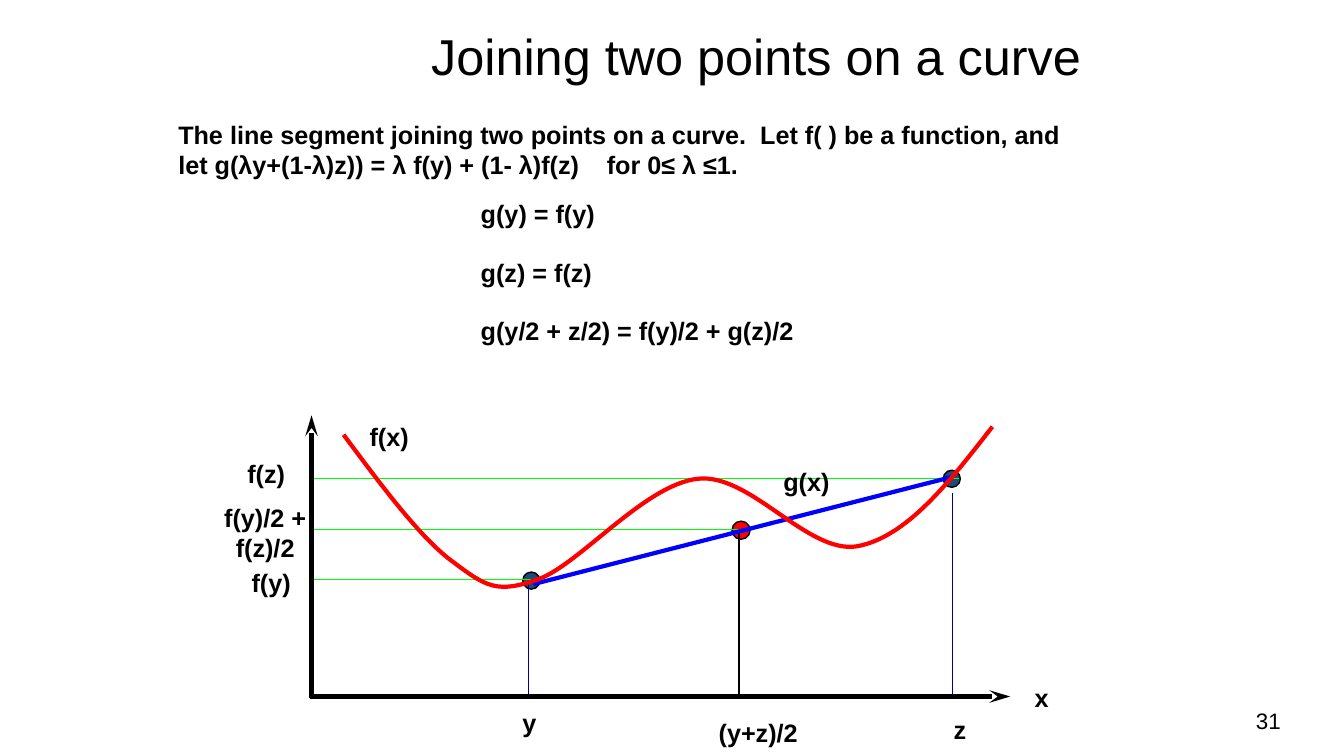
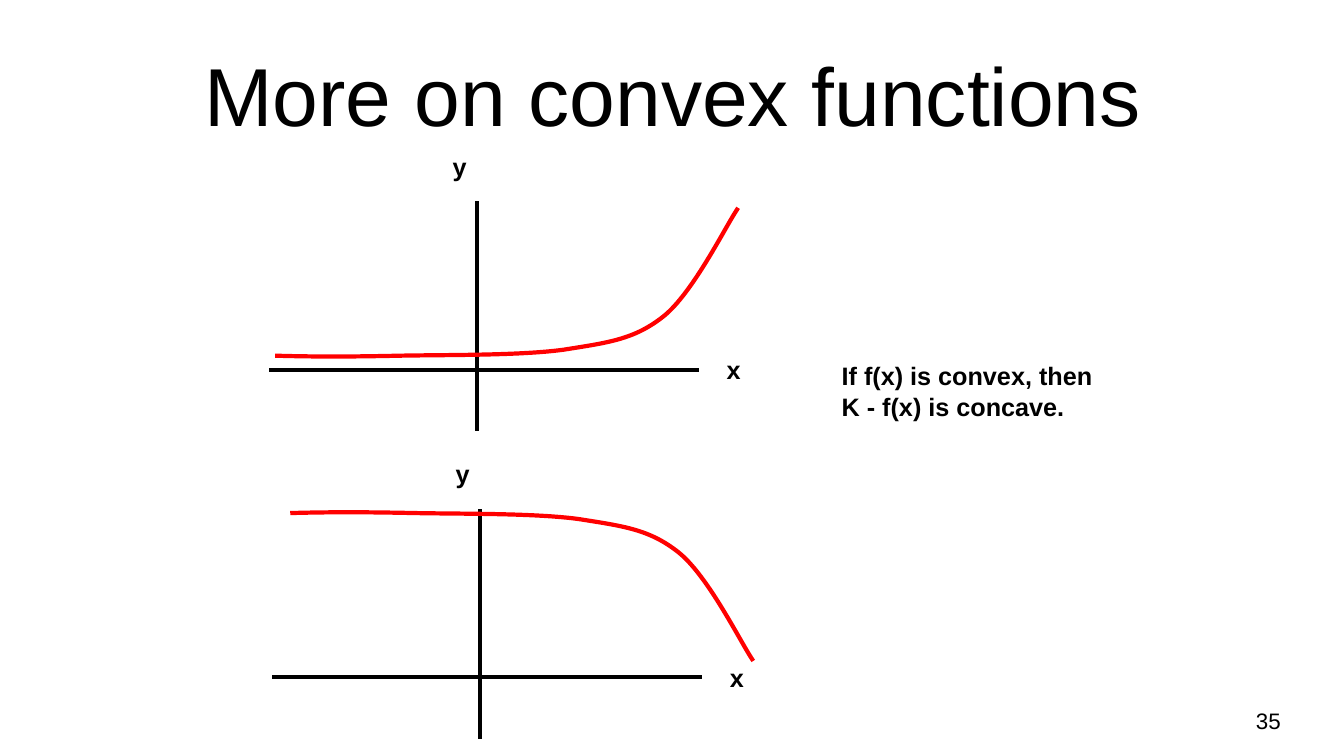
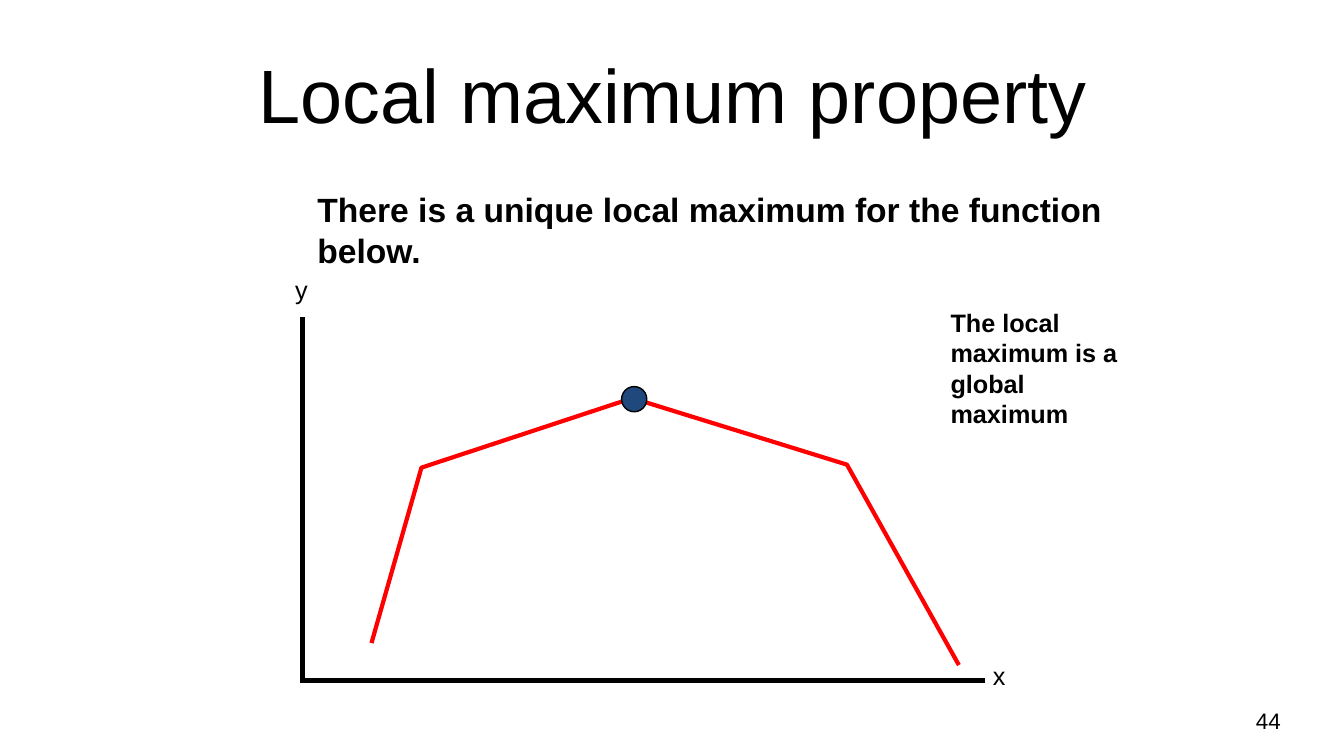
from lxml.etree import SubElement
from pptx import Presentation
from pptx.dml.color import RGBColor
from pptx.enum.shapes import MSO_CONNECTOR, MSO_SHAPE
from pptx.enum.text import MSO_ANCHOR, MSO_AUTO_SIZE, PP_ALIGN
from pptx.oxml.ns import qn
from pptx.util import Inches, Pt

BLACK = RGBColor(0, 0, 0)
RED = RGBColor(255, 0, 0)
GREEN = RGBColor(0, 255, 0)
BLUE = RGBColor(0, 0, 255)
NAVY = RGBColor(0, 0, 0x99)
DOT_BLUE = RGBColor(0x1F, 0x49, 0x7D)
FONT = "Arial"
THICK, THIN = 3, 1
TITLE_BOX = (0.67, 0.3, 12, 1.25)
LABEL_WIDTH = 1.42

JOINING = {
    "title": "Joining two points on a curve",
    "statement": "The line segment joining two points on a curve.  Let f( ) be a function, and "
                 "let g(λy+(1-λ)z)) = λ f(y) + (1- λ)f(z)\tfor 0≤ λ ≤1.",
    "equations": ["g(y) = f(y)", "g(z) = f(z)", "g(y/2 + z/2) = f(y)/2 + g(z)/2"],
    "dots": [(5.27, 5.76, 0.17, DOT_BLUE), (9.44, 4.75, 0.17, DOT_BLUE), (7.35, 5.26, 0.18, RED)],
    "lines": [
        ((5.24, 5.79), (5.24, 6.9), NAVY, THIN),
        ((9.45, 4.9), (9.45, 6.88), NAVY, THIN),
        ((7.33, 5.25), (7.33, 6.92), BLACK, THIN),
        ((3.1, 5.75), (5.26, 5.75), GREEN, THIN),
        ((3.1, 4.75), (9.5, 4.75), GREEN, THIN),
        ((3.1, 5.25), (7.35, 5.25), GREEN, THIN),
        ((5.31, 5.79), (9.41, 4.74), BLUE, THICK),
    ],
    "axes": [((3.1, 6.91), (10.02, 6.91)), ((3.09, 6.9), (3.09, 4.12))],
    "labels": [
        ("f(y)", 2.69, 5.58), ("f(z)", 2.64, 4.5), ("f(y)/2 +\nf(z)/2", 2.63, 4.93),
        ("(y+z)/2", 7.52, 7.07), ("y", 5.25, 6.97), ("z", 9.52, 7.04),
        ("f(x)", 3.86, 4.13), ("x", 10.33, 6.72),
    ],
    "curve": [
        (3.42, 4.33), (3.8, 4.84), (4.18, 5.35), (4.5, 5.58), (4.82, 5.82), (4.93, 5.89),
        (5.33, 5.75), (5.74, 5.61), (6.39, 4.81), (6.92, 4.75), (7.44, 4.69), (8.01, 5.5),
        (8.5, 5.42), (8.99, 5.33), (9.41, 4.79), (9.83, 4.25),
    ],
}

CONVEX_CURVE = [
    (2.75, 3.53), (3.11, 3.54), (3.47, 3.54), (3.94, 3.53), (4.41, 3.52), (5.15, 3.53),
    (5.59, 3.47), (6.03, 3.4), (6.29, 3.37), (6.58, 3.14), (6.87, 2.91), (7.19, 2.26),
    (7.31, 2.08),
]
CONCAVE_CURVE = [(x + 0.15, 8.62 - y) for x, y in CONVEX_CURVE]
CONVEX_PLOTS = [(0, 0, CONVEX_CURVE), (0.03, 3.05, CONCAVE_CURVE)]

PEAK_LINE = [(3.69, 6.36), (4.18, 4.64), (6.27, 3.95), (8.4, 4.61), (9.5, 6.58)]


def style_line(line, color, width):
    line.color.rgb = color
    line.width = Pt(width)
    line._get_or_add_ln().set("cap", "sq")


def write(frame, text, size, bold, align):
    paragraph = frame.paragraphs[0]
    paragraph.alignment = align
    for index, line in enumerate(text.split("\n")):
        if index:
            paragraph.add_line_break()
        run = paragraph.add_run()
        run.text = line
        run.font.name = FONT
        run.font.size = Pt(size)
        run.font.bold = bold
        run.font.color.rgb = BLACK
    return paragraph


def add_text(slide, text, left, top, width, height=0.4, size=18, bold=True,
             align=PP_ALIGN.LEFT):
    box = slide.shapes.add_textbox(Inches(left), Inches(top), Inches(width), Inches(height))
    box.text_frame.word_wrap = True
    return write(box.text_frame, text, size, bold, align)


def add_label(slide, text, center, top):
    height = 0.4 + 0.3 * text.count("\n")
    add_text(slide, text, center - LABEL_WIDTH / 2, top, LABEL_WIDTH, height,
             align=PP_ALIGN.CENTER)


def add_line(slide, start, end, color=BLACK, width=THICK, arrow=False):
    points = [Inches(value) for value in (*start, *end)]
    connector = slide.shapes.add_connector(MSO_CONNECTOR.STRAIGHT, *points)
    style_line(connector.line, color, width)
    if arrow:
        SubElement(connector.line._get_or_add_ln(), qn("a:tailEnd"),
                   type="stealth", w="med", len="lg")
    SubElement(connector._element.spPr, qn("a:effectLst"))


def add_dot(slide, center_x, center_y, size, color):
    dot = slide.shapes.add_shape(
        MSO_SHAPE.OVAL, Inches(center_x - size / 2), Inches(center_y - size / 2),
        Inches(size), Inches(size))
    dot.shadow.inherit = False
    dot.fill.solid()
    dot.fill.fore_color.rgb = color
    style_line(dot.line, BLACK, THIN)


def add_polyline(slide, points):
    points = [(Inches(x), Inches(y)) for x, y in points]
    builder = slide.shapes.build_freeform(*points[0])
    builder.add_line_segments(points[1:], close=False)
    shape = builder.convert_to_shape()
    shape.shadow.inherit = False
    shape.fill.background()
    style_line(shape.line, RED, THICK)
    return shape


def add_curve(slide, points):
    shape = add_polyline(slide, points)
    segments = list(shape._element.iter(qn("a:lnTo")))
    for first, second, third in zip(segments[::3], segments[1::3], segments[2::3]):
        first.tag = qn("a:cubicBezTo")
        for segment in (second, third):
            first.append(segment[0])
            segment.getparent().remove(segment)


def add_slide(presentation, title, size, number, box=TITLE_BOX):
    slide = presentation.slides.add_slide(presentation.slide_layouts[5])
    holder = slide.shapes.title
    holder.left, holder.top, holder.width, holder.height = (Inches(value) for value in box)
    frame = holder.text_frame
    frame.word_wrap = True
    frame.auto_size = MSO_AUTO_SIZE.NONE
    frame.vertical_anchor = MSO_ANCHOR.MIDDLE
    write(frame, title, size, False, PP_ALIGN.CENTER)
    add_text(slide, str(number), 9.69, 6.97, 3.11, size=16, bold=False, align=PP_ALIGN.RIGHT)
    return slide


def build_joining(presentation):
    slide = add_slide(presentation, JOINING["title"], 36, 31, (3.25, 0.17, 8.5, 0.76))
    statement = add_text(slide, JOINING["statement"], 1.67, 1.13, 9.16, 0.71)
    tabs = SubElement(statement._p.get_or_add_pPr(), qn("a:tabLst"))
    SubElement(tabs, qn("a:tab"), pos=str(Inches(4.25)), algn="l")
    for row, equation in enumerate(JOINING["equations"]):
        add_text(slide, equation, 4.67, 1.92 + 0.58 * row, 5.17)
    for dot in JOINING["dots"]:
        add_dot(slide, *dot)
    for line in JOINING["lines"]:
        add_line(slide, *line)
    for start, end in JOINING["axes"]:
        add_line(slide, start, end, arrow=True)
    for label in JOINING["labels"]:
        add_label(slide, *label)
    add_text(slide, "g(x)", 7.67, 4.58, 1.08)
    add_curve(slide, JOINING["curve"])


def build_convex(presentation):
    slide = add_slide(presentation, "More on convex functions", 58.7, 35)
    for right, down, curve in CONVEX_PLOTS:
        add_line(slide, (4.73 + right, 2.02 + down), (4.73 + right, 4.26 + down))
        add_line(slide, (2.69 + right, 3.67 + down), (6.91 + right, 3.67 + down))
        add_text(slide, "x", 7.11 + right, 3.47 + down, 0.66)
        add_text(slide, "y", 4.39 + right, 1.45 + down, 1.05)
        add_curve(slide, curve)
    add_text(slide, "If f(x) is convex, then K - f(x) is concave.", 8.25, 3.53, 2.83, 0.71)


def build_maximum(presentation):
    slide = add_slide(presentation, "Local maximum property", 54, 44)
    add_text(slide, "There is a unique local maximum for the function below.",
             3.05, 1.83, 8.12, 1, size=24)
    add_text(slide, "The local maximum is a global maximum", 9.33, 3, 2, 1.31)
    add_polyline(slide, PEAK_LINE)
    origin = (3, 6.75)
    for end in ((3, 3.17), (9.75, 6.75)):
        add_line(slide, origin, end)
    for name, left, top in (("y", 2.83, 2.67), ("x", 9.75, 6.5)):
        add_text(slide, name, left, top, 0.83, bold=False)
    add_dot(slide, 6.29, 3.96, 0.25, DOT_BLUE)


def main():
    presentation = Presentation()
    presentation.slide_width = Inches(13.33)
    presentation.slide_height = Inches(7.5)
    for build in (build_joining, build_convex, build_maximum):
        build(presentation)
    presentation.save("out.pptx")


if __name__ == "__main__":
    main()
